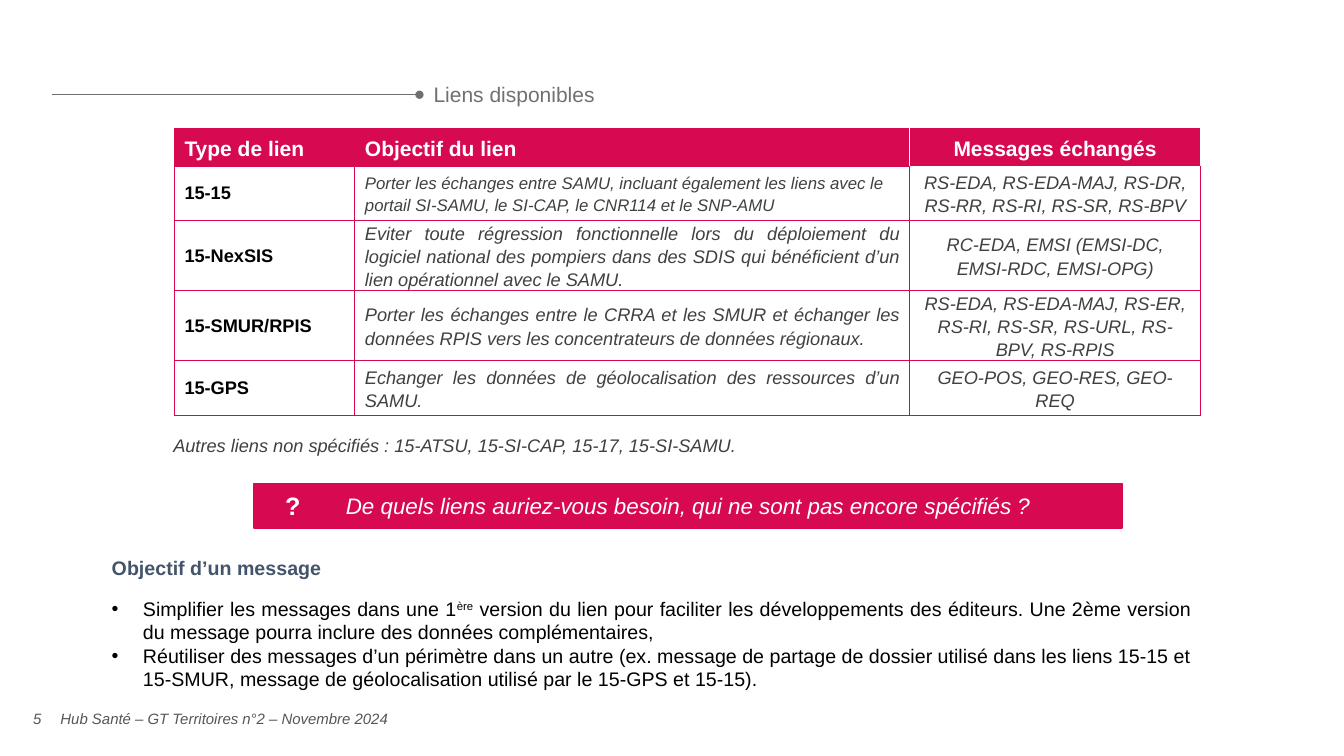
from dataclasses import dataclass
from lxml.etree import SubElement
from pptx import Presentation
from pptx.dml.color import RGBColor as Rgb
from pptx.enum.shapes import MSO_CONNECTOR as Conn, MSO_SHAPE as Geo
from pptx.enum.text import MSO_ANCHOR as Anc, MSO_AUTO_SIZE as Fit, PP_ALIGN as Al
from pptx.oxml.ns import qn
from pptx.util import Pt

PX = 9144  # one px is a hundredth of an inch


@dataclass(frozen=True)
class Theme:
    font: str = "Arial"
    pink: str = "D60951"
    white: str = "FFFFFF"
    black: str = "000000"
    dark: str = "404040"
    grey: str = "6F7072"
    foot: str = "575757"
    slate: str = "44546A"
    head: float = 15
    body: float = 13
    small: float = 12
    text: float = 14
    ask: float = 16
    mark: float = 18
    note: float = 10.7


T = Theme()
HEAD = ["Type de lien", "Objectif du lien", "Messages échangés"]
LINKS = [
    ["15-15",
     "Porter les échanges entre SAMU, incluant également les liens avec le "
     "portail SI-SAMU, le SI-CAP, le CNR114 et le SNP-AMU",
     "RS-EDA, RS-EDA-MAJ, RS-DR, RS-RR, RS-RI, RS-SR, RS-BPV"],
    ["15-NexSIS",
     "Eviter toute régression fonctionnelle lors du déploiement du logiciel "
     "national des pompiers dans des SDIS qui bénéficient d’un lien "
     "opérationnel avec le SAMU.",
     "RC-EDA, EMSI (EMSI-DC, EMSI-RDC, EMSI-OPG)"],
    ["15-SMUR/RPIS",
     "Porter les échanges entre le CRRA et les SMUR et échanger les données "
     "RPIS vers les concentrateurs de données régionaux.",
     "RS-EDA, RS-EDA-MAJ, RS-ER, RS-RI, RS-SR, RS-URL, RS-BPV, RS-RPIS"],
    ["15-GPS",
     "Echanger les données de géolocalisation des ressources d’un SAMU.",
     "GEO-POS, GEO-RES, GEO-REQ"],
]
GOALS = [
    ["Simplifier les messages dans une 1", "ère",
     " version du lien pour faciliter les développements des éditeurs. Une "
     "2ème version du message pourra inclure des données complémentaires,"],
    ["Réutiliser des messages d’un périmètre dans un autre (ex. message de "
     "partage de dossier utilisé dans les liens 15-15 et 15-SMUR, message de "
     "géolocalisation utilisé par le 15-GPS et 15-15)."],
]


def emu(*nums):
    return [n * PX for n in nums]


def style(para, size, color, bold=False, ital=False, al=None, gap=None):
    para.alignment = al
    if gap:
        para.line_spacing = gap
    for run in para.runs:
        font = run.font
        font.name, font.size = T.font, Pt(size)
        font.bold, font.italic = bold, ital
        font.color.rgb = Rgb.from_string(color)


def label(slide, box, text, size, color, pad=True, **look):
    frame = slide.shapes.add_textbox(*emu(*box)).text_frame
    frame.word_wrap = True
    if not pad:
        frame.margin_left = frame.margin_right = 0
        frame.margin_top = frame.margin_bottom = 0
        frame.vertical_anchor = Anc.MIDDLE
    frame.text = text
    style(frame.paragraphs[0], size, color, **look)
    return frame


def title(slide, box):
    x, y, w, h = box
    # Rule with a round end
    mid = y + h // 2
    rule = slide.shapes.add_connector(Conn.STRAIGHT, *emu(x, mid, x + 364, mid))
    rule.line.color.rgb = Rgb.from_string(T.grey)
    rule.line.width = Pt(0.5)
    SubElement(rule.line._get_or_add_ln(), qn("a:tailEnd"), type="oval")
    SubElement(rule._element.spPr, qn("a:effectLst"))
    # Heading
    name = slide.shapes.title
    name.left, name.top, name.width, name.height = emu(x + 368, y, w - 368, h)
    frame = name.text_frame
    frame.text = "Liens disponibles"
    frame.auto_size, frame.vertical_anchor = Fit.NONE, Anc.MIDDLE
    style(frame.paragraphs[0], T.head, T.grey, al=Al.LEFT, gap=0.9)


def edges(cell, **white):
    props = cell._tc.get_or_add_tcPr()
    for side in "LRTB":
        line = SubElement(props, qn(f"a:ln{side}"), w=str(Pt(1)))
        fill = SubElement(line, qn("a:solidFill"))
        color = T.white if white.get(side) else T.pink
        SubElement(fill, qn("a:srgbClr"), val=color)


def grid(slide, box):
    rows = [HEAD] + LINKS
    table = slide.shapes.add_table(len(rows), len(HEAD), *emu(*box)).table
    table.first_row = table.horz_banding = False
    for col, wide in zip(table.columns, (179, 550, 289)):
        col.width = wide * PX
    for r, texts in enumerate(rows):
        table.rows[r].height = (54 if r else 37) * PX
        for c, text in enumerate(texts):
            cell = table.cell(r, c)
            last = c == 2
            edges(cell, L=r == 0 and last, R=r == 0 and c > 0,
                  T=r == 1 and last, B=r == 0 and last)
            cell.margin_left = cell.margin_right = 10 * PX
            cell.margin_top = cell.margin_bottom = 0
            cell.vertical_anchor = Anc.MIDDLE
            cell.text = text
            para = cell.text_frame.paragraphs[0]
            para.space_after = Pt(6)
            if r == 0:
                cell.fill.solid()
                cell.fill.fore_color.rgb = Rgb.from_string(T.pink)
                style(para, T.head, T.white, bold=True, gap=1.15,
                      al=Al.CENTER if last else Al.LEFT)
                continue
            cell.fill.background()
            if c == 0:
                style(para, T.body, T.black, bold=True)
            elif last:
                style(para, T.body, T.dark, ital=True, al=Al.CENTER, gap=1.15)
            else:
                first = r == 1
                style(para, T.small if first else T.body, T.dark, ital=True,
                      al=Al.LEFT if first else Al.JUSTIFY, gap=1.15)


def banner(slide, box):
    x, y, w, h = box
    bar = slide.shapes.add_shape(Geo.RECTANGLE, *emu(*box))
    bar.shadow.inherit = False
    bar.fill.solid()
    bar.fill.fore_color.rgb = bar.line.color.rgb = Rgb.from_string(T.pink)
    bar.line.width = Pt(1)
    frame = bar.text_frame
    frame.text = "De quels liens auriez-vous besoin, qui ne sont pas encore spécifiés ?"
    frame.vertical_anchor = Anc.MIDDLE
    style(frame.paragraphs[0], T.ask, T.white, ital=True, al=Al.CENTER)
    label(slide, (x + 21, y + 2, 29, h - 4), "?", T.mark, T.white, bold=True)


def goals(slide, box):
    frame = label(slide, box, "Objectif d’un message", T.text, T.slate, bold=True)
    for i, parts in enumerate(GOALS):
        para = frame.add_paragraph()
        props = para._p.get_or_add_pPr()
        props.set("marL", str(31 * PX))
        props.set("indent", str(-31 * PX))
        SubElement(props, qn("a:buFont"), typeface=T.font)
        SubElement(props, qn("a:buChar"), char="•")
        for part in parts:
            para.add_run().text = part
        style(para, T.text, T.black, al=Al.JUSTIFY)
        if i == 0:
            para.space_before = Pt(12)
            para.runs[1]._r.get_or_add_rPr().set("baseline", "30000")


def footer(slide, box):
    x, y, w, h = box
    look = dict(size=T.note, color=T.foot, pad=False, ital=True)
    label(slide, (x, y, 42, h), "5", al=Al.CENTER, **look)
    label(slide, (x + 44, y, w - 44, h),
          "Hub Santé – GT Territoires n°2 – Novembre 2024", **look)


def main():
    deck = Presentation()
    deck.slide_width, deck.slide_height = emu(1333, 750)
    slide = deck.slides.add_slide(deck.slide_layouts[5])
    title(slide, (52, 78, 1140, 33))
    grid(slide, (173, 128, 1018, 253))
    label(slide, (162, 423, 1009, 33),
          "Autres liens non spécifiés : 15-ATSU, 15-SI-CAP, 15-17, 15-SI-SAMU.",
          T.body, T.dark, ital=True, gap=1.15)
    banner(slide, (252, 480, 861, 44))
    goals(slide, (101, 547, 1091, 146))
    footer(slide, (16, 693, 1054, 40))
    deck.save("out.pptx")


if __name__ == "__main__":
    main()
